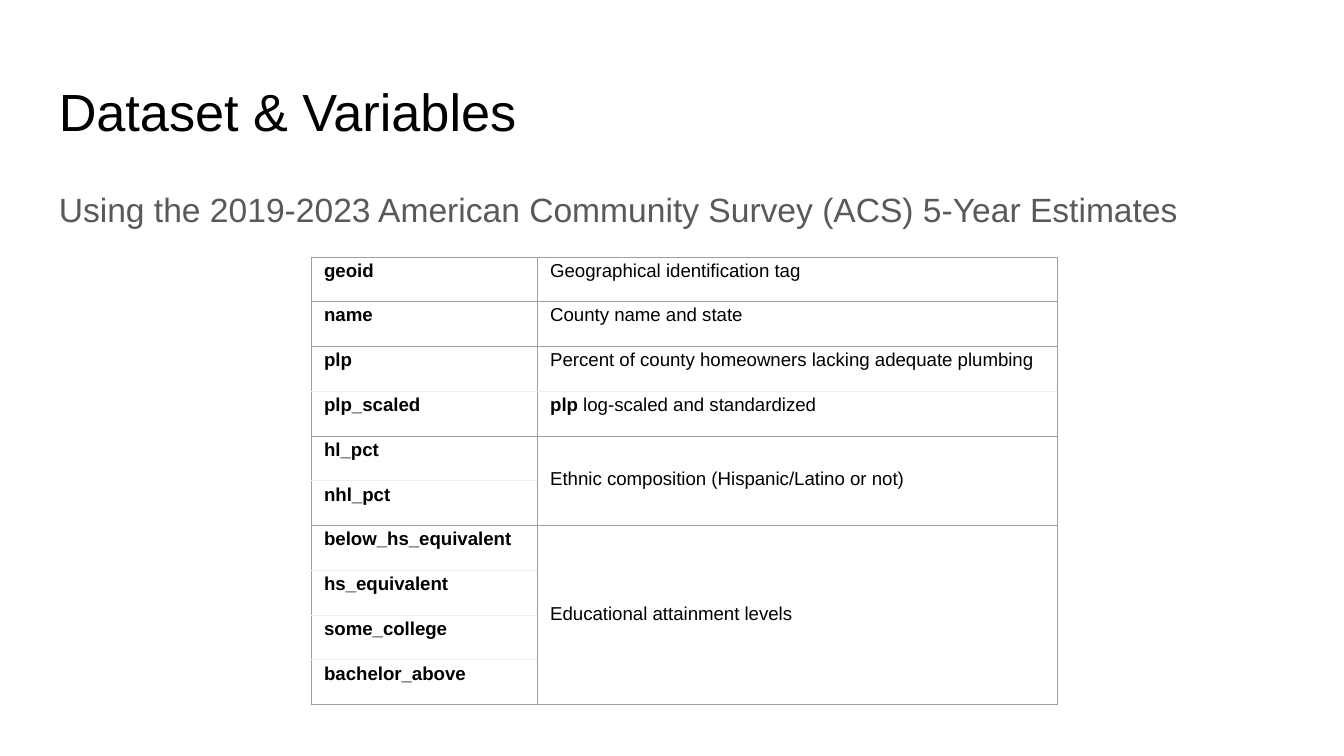
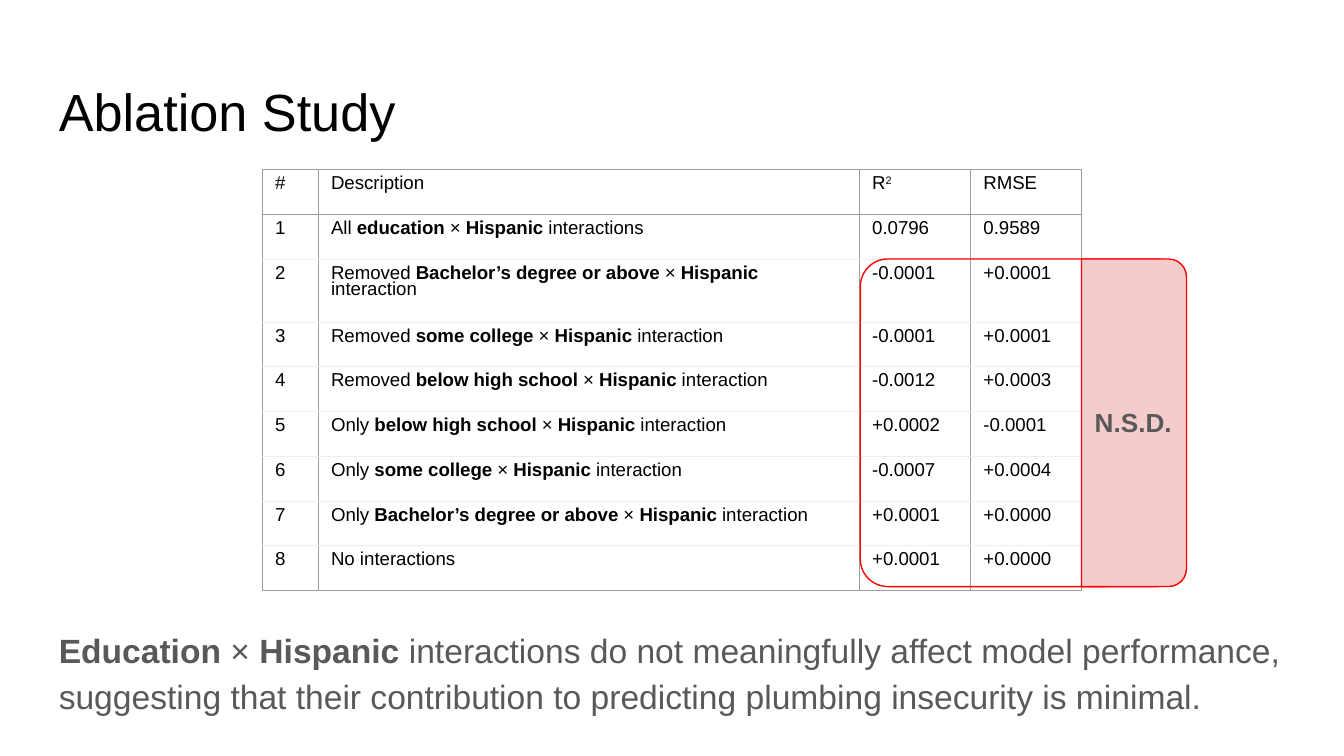
from dataclasses import dataclass

from lxml.etree import SubElement
from pptx import Presentation
from pptx.dml.color import RGBColor
from pptx.enum.shapes import MSO_SHAPE
from pptx.enum.text import MSO_ANCHOR, MSO_AUTO_SIZE, PP_ALIGN
from pptx.oxml.ns import qn
from pptx.util import Emu, Inches, Pt


@dataclass(frozen=True)
class Theme:
    font: str = "Arial"
    ink: str = "000000"
    muted: str = "595959"
    grid: str = "9E9E9E"
    soft_grid: str = "EEEEEE"
    alert: str = "FF0000"
    alert_fill: str = "F4CCCC"
    title_size: int = 28
    body_size: int = 18
    tag_size: int = 14
    table_size: int = 10
    grid_width: float = 0.34
    outline_width: float = 0.75


THEME = Theme()
SLIDE_WIDTH, SLIDE_HEIGHT = 1920, 1080
PX = Inches(10) / SLIDE_WIDTH
INSET = 19
CELL_INSET = 10
MARGIN_LEFT, CONTENT_WIDTH = 65, 1789
ROW_HEIGHT, TALL_ROW_HEIGHT = 64, 90
NO_TABLE_STYLE = "{2D5ABB26-0587-4C30-8999-92F81FD0307C}"

VARIABLES = [
    ("geoid", "Geographical identification tag"),
    ("name", "County name and state"),
    ("plp", "Percent of county homeowners lacking adequate plumbing"),
    ("plp_scaled", "**plp** log-scaled and standardized"),
    ("hl_pct", "Ethnic composition (Hispanic/Latino or not)"),
    ("nhl_pct", ""),
    ("below_hs_equivalent", "Educational attainment levels"),
    ("hs_equivalent", ""),
    ("some_college", ""),
    ("bachelor_above", ""),
]
MERGED_ROWS = [(4, 5), (6, 9)]

ABLATIONS = [
    ("All **education** × **Hispanic** interactions", "0.0796", "0.9589"),
    ("Removed **Bachelor’s degree or above** × **Hispanic** interaction", "-0.0001", "+0.0001"),
    ("Removed **some college** × **Hispanic** interaction", "-0.0001", "+0.0001"),
    ("Removed **below high school** × **Hispanic** interaction", "-0.0012", "+0.0003"),
    ("Only **below high school** × **Hispanic** interaction", "+0.0002", "-0.0001"),
    ("Only **some college** × **Hispanic** interaction", "-0.0007", "+0.0004"),
    ("Only **Bachelor’s degree or above** × **Hispanic** interaction", "+0.0001", "+0.0000"),
    ("No interactions", "+0.0001", "+0.0000"),
]


def px(*lengths):
    return [Emu(round(length * PX)) for length in lengths]


def rgb(color):
    return RGBColor.from_string(color)


def add_run(paragraph, text, size, color, bold=False):
    run = paragraph.add_run()
    run.text = text
    run.font.name = THEME.font
    run.font.size = Pt(size)
    run.font.color.rgb = rgb(color)
    run.font.bold = bold
    return run


def write(paragraph, text, size, color):
    """Write text in which **...** marks bold parts."""
    for index, part in enumerate(text.split("**")):
        if part:
            add_run(paragraph, part, size, color, bold=index % 2 == 1)


def set_margins(holder, side, end):
    holder.margin_left, holder.margin_right = px(side, side)
    holder.margin_top, holder.margin_bottom = px(end, end)


def set_frame(frame, auto_size=MSO_AUTO_SIZE.NONE):
    frame.word_wrap = True
    frame.auto_size = auto_size
    frame.vertical_anchor = MSO_ANCHOR.TOP
    set_margins(frame, INSET, INSET)


def fill_placeholder(placeholder, top, height, text, size, color):
    placeholder.left, placeholder.top, placeholder.width, placeholder.height = px(
        MARGIN_LEFT, top, CONTENT_WIDTH, height)
    set_frame(placeholder.text_frame)
    paragraph = placeholder.text_frame.paragraphs[0]
    properties = paragraph._p.get_or_add_pPr()
    properties.set("marL", "0")
    properties.set("indent", "0")
    SubElement(properties, qn("a:buNone"))
    paragraph.alignment = PP_ALIGN.LEFT
    paragraph.space_before = Pt(0)
    write(paragraph, text, size, color)
    return paragraph


def add_text_slide(deck, title, body, body_top, body_height):
    slide = deck.slides.add_slide(deck.slide_layouts[1])
    fill_placeholder(slide.shapes.title, 94, 120, title, THEME.title_size, THEME.ink)
    statement = fill_placeholder(slide.placeholders[1], body_top, body_height, body,
                                 THEME.body_size, THEME.muted)
    statement.line_spacing = 1.15
    statement.space_after = Pt(12)
    return slide


def set_borders(cell, top_color, bottom_color):
    sides = {"L": THEME.grid, "R": THEME.grid, "T": top_color, "B": bottom_color}
    properties = cell._tc.get_or_add_tcPr()
    for side, color in sides.items():
        line = SubElement(properties, qn(f"a:ln{side}"), w=str(Pt(THEME.grid_width)))
        fill = SubElement(line, qn("a:solidFill"))
        SubElement(fill, qn("a:srgbClr"), val=color)


def add_grid(slide, left, top, widths, heights, rows, soft_edges, merged=()):
    """Add a table; soft_edges are the row boundaries drawn in the lighter grey,
    merged lists the first and last rows joined in the last column."""
    table = slide.shapes.add_table(
        len(rows), len(widths), *px(left, top, sum(widths), sum(heights))).table
    table.first_row = table.horz_banding = False
    table._tbl.tblPr.find(qn("a:tableStyleId")).text = NO_TABLE_STYLE
    for column, width in zip(table.columns, px(*widths)):
        column.width = width
    for row, height in zip(table.rows, px(*heights)):
        row.height = height
    last_column = len(widths) - 1
    for first, last in merged:
        table.cell(first, last_column).merge(table.cell(last, last_column))

    def edge_color(boundary):
        return THEME.soft_grid if boundary in soft_edges else THEME.grid

    for row_index, texts in enumerate(rows):
        for column_index, text in enumerate(texts):
            cell = table.cell(row_index, column_index)
            if cell.is_spanned:
                continue
            span = cell.span_height if cell.is_merge_origin else 1
            set_borders(cell, edge_color(row_index), edge_color(row_index + span))
            cell.fill.background()
            set_margins(cell, INSET, CELL_INSET)
            cell.vertical_anchor = MSO_ANCHOR.MIDDLE if span > 1 else MSO_ANCHOR.TOP
            paragraph = cell.text_frame.paragraphs[0]
            paragraph.line_spacing = 0.8
            write(paragraph, text, THEME.table_size, THEME.ink)
    return table


def add_outline(group, kind, box, radii, fill=None):
    outline = group.shapes.add_shape(kind, *px(*box))
    outline.shadow.inherit = False
    for index, radius in enumerate(radii):
        outline.adjustments[index] = radius
    if fill:
        outline.fill.solid()
        outline.fill.fore_color.rgb = rgb(fill)
    else:
        outline.fill.background()
    outline.line.color.rgb = rgb(THEME.alert)
    outline.line.width = Pt(THEME.outline_width)
    return outline


def add_significance_mark(slide):
    """Frame the score changes and hang a labelled tab on their right side."""
    group = slide.shapes.add_group_shape()
    add_outline(group, MSO_SHAPE.ROUNDED_RECTANGLE, (1229, 370, 463, 468), [0.085])
    tab = add_outline(group, MSO_SHAPE.ROUND_2_SAME_RECTANGLE, (1386, 529, 468, 150),
                      [0.17, 0], THEME.alert_fill)
    tab.rotation = 90
    label = group.shapes.add_textbox(*px(1545, 562, 150, 83))
    set_frame(label.text_frame, MSO_AUTO_SIZE.SHAPE_TO_FIT_TEXT)
    write(label.text_frame.paragraphs[0], "**N.S.D.**", THEME.tag_size, THEME.muted)


def add_variables_slide(deck):
    slide = add_text_slide(
        deck, "Dataset & Variables",
        "Using the 2019-2023 American Community Survey (ACS) 5-Year Estimates", 242, 106)
    rows = [(f"**{name}**", meaning) for name, meaning in VARIABLES]
    add_grid(slide, 444, 367, [323, 743], [ROW_HEIGHT] * len(rows), rows,
             soft_edges={3, 5, 7, 8, 9}, merged=MERGED_ROWS)


def add_ablation_slide(deck):
    slide = add_text_slide(
        deck, "Ablation Study",
        "**Education** × **Hispanic** interactions do not meaningfully affect model "
        "performance, suggesting that their contribution to predicting plumbing "
        "insecurity is minimal.", 872, 171)
    rows = [("#", "Description", "R", "RMSE")]
    rows += [(str(number), *ablation) for number, ablation in enumerate(ABLATIONS, 1)]
    heights = [ROW_HEIGHT] * len(rows)
    heights[2] = TALL_ROW_HEIGHT
    table = add_grid(slide, 374, 242, [80, 773, 159, 159], heights, rows,
                     soft_edges=range(2, len(rows)))
    score_heading = table.cell(0, 2).text_frame.paragraphs[0]
    exponent = add_run(score_heading, "2", THEME.table_size, THEME.ink)
    exponent.font._element.set("baseline", "30000")
    add_significance_mark(slide)


def main():
    deck = Presentation()
    deck.slide_width, deck.slide_height = px(SLIDE_WIDTH, SLIDE_HEIGHT)
    add_variables_slide(deck)
    add_ablation_slide(deck)
    deck.save("out.pptx")


if __name__ == "__main__":
    main()
